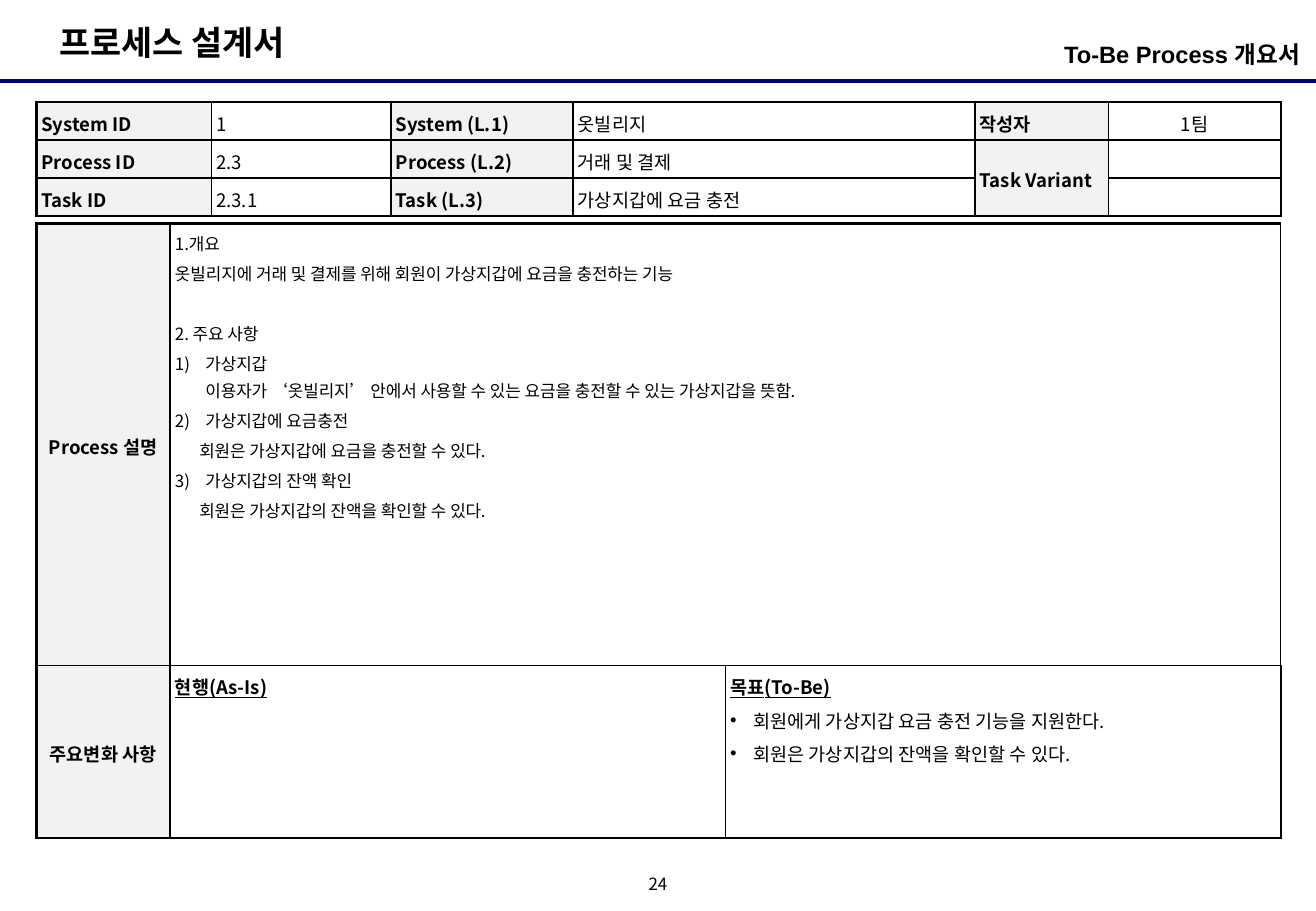
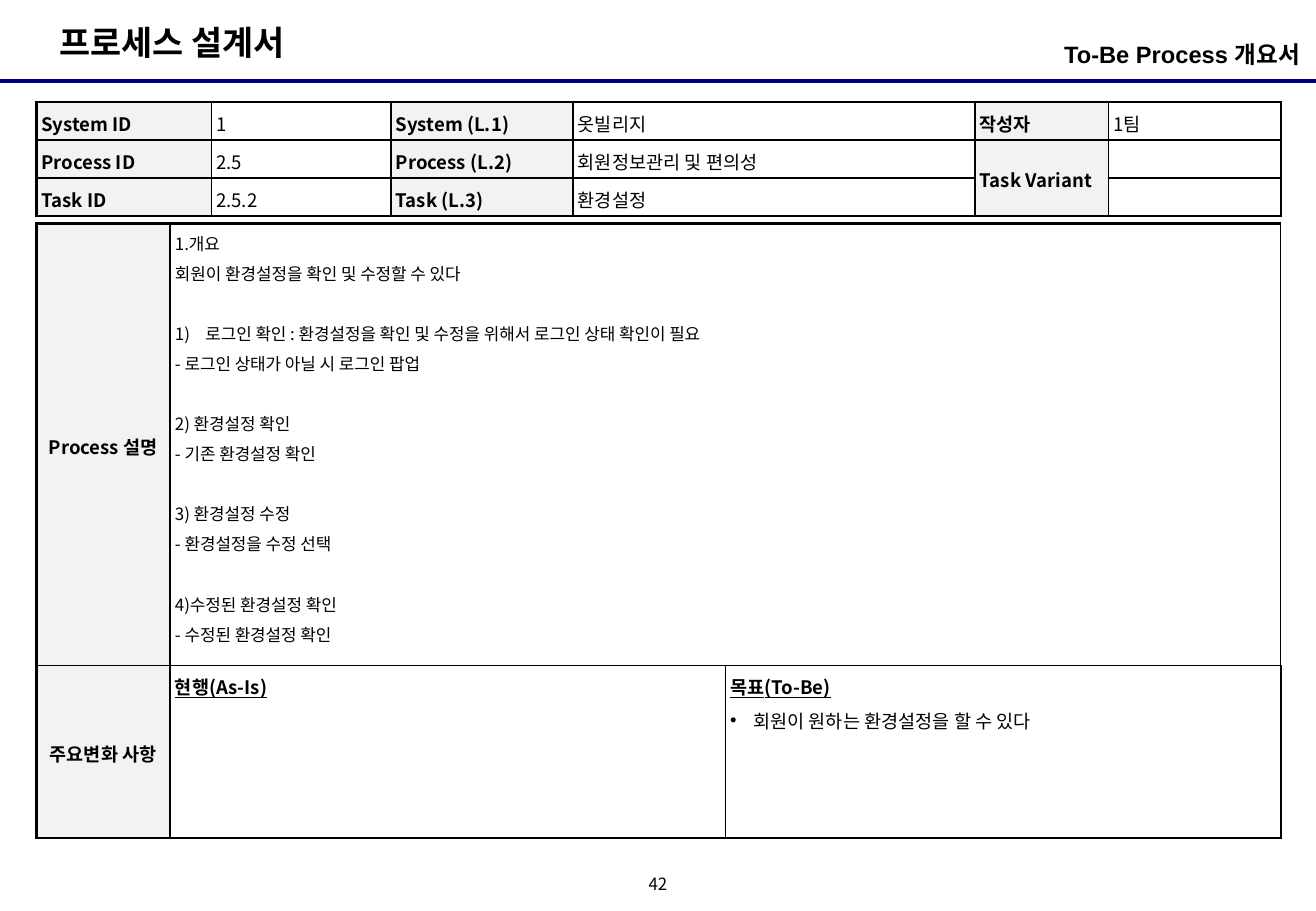
from dataclasses import dataclass

from lxml.etree import SubElement
from pptx import Presentation
from pptx.dml.color import RGBColor
from pptx.enum.shapes import MSO_CONNECTOR
from pptx.enum.text import MSO_ANCHOR, PP_ALIGN
from pptx.oxml.ns import qn
from pptx.util import Inches, Pt

BLACK, WHITE, NAVY, LABEL_GRAY = "000000", "FFFFFF", "000080", "F2F2F2"
KOREAN_FONT, LATIN_FONT = "Noto Sans CJK KR", "Arial"
SLIDE_WIDTH, SLIDE_HEIGHT = 10.83, 7.5
THIN, THICK = 1, 1.5
LABEL_SIZE, BODY_SIZE = 11, 10
SECTION_GAP = 18.9
BORDER_TAGS = ("a:lnL", "a:lnR", "a:lnT", "a:lnB")


@dataclass
class Line:
    text: str
    size: float = LABEL_SIZE
    bold: bool = False
    underline: bool = False
    bullet: str = ""
    number: int = 0
    left: float = 0
    hanging: float = 0
    before: float = 0


def color(value):
    return RGBColor.from_string(value)


def body(text, **options):
    return Line(text, BODY_SIZE, **options)


def numbered(number, text, **options):
    return body(text, number=number, left=0.25, hanging=0.25, **options)


def indented(text):
    return body(text, left=0.2)


def bulleted(text):
    return Line(text, bullet="•", left=0.19, hanging=0.19)


def label(text):
    return Line(text, bold=True)


def heading(text):
    return Line(text, bold=True, underline=True)


def add_run(paragraph, text, size, bold=False, underline=False, font=KOREAN_FONT):
    run = paragraph.add_run()
    run.text = text
    run.font.size = Pt(size)
    run.font.bold = bold
    run.font.underline = underline
    run.font.name = font
    run.font.color.rgb = color(BLACK)
    SubElement(run.font._element, qn("a:ea"), typeface=KOREAN_FONT)


def add_bullet(properties, line):
    if line.number:
        SubElement(properties, qn("a:buFont"), typeface=KOREAN_FONT)
        SubElement(properties, qn("a:buAutoNum"), type="arabicParenR", startAt=str(line.number))
    elif line.bullet:
        SubElement(properties, qn("a:buFont"), typeface=LATIN_FONT)
        SubElement(properties, qn("a:buChar"), char=line.bullet)


def write_line(paragraph, line, first, last, align):
    properties = paragraph._p.get_or_add_pPr()
    properties.set("marL", str(Inches(line.left)))
    properties.set("indent", str(-Inches(line.hanging)))
    add_bullet(properties, line)
    paragraph.alignment = align
    paragraph.line_spacing = 1.1
    paragraph.space_before = Pt(0 if first else line.before or line.size / 10)
    paragraph.space_after = Pt(0 if last else line.size / 10)
    for index, part in enumerate(line.text.split("\n")):
        if index:
            paragraph.add_line_break()
        add_run(paragraph, part, line.size, line.bold, line.underline)


def fill_cell(cell, lines, fill=None, align=PP_ALIGN.LEFT, anchor=MSO_ANCHOR.TOP):
    cell.margin_left = cell.margin_right = cell.margin_top = cell.margin_bottom = Inches(0.04)
    cell.vertical_anchor = anchor
    if fill:
        cell.fill.solid()
        cell.fill.fore_color.rgb = color(fill)
    else:
        cell.fill.background()
    frame = cell.text_frame
    for index, line in enumerate(lines):
        paragraph = frame.add_paragraph() if index else frame.paragraphs[0]
        write_line(paragraph, line, index == 0, index == len(lines) - 1, align)
    if not lines:
        SubElement(frame.paragraphs[0]._p, qn("a:endParaRPr"), sz=str(LABEL_SIZE * 100))


def set_borders(table):
    last_row, last_column = len(table.rows) - 1, len(table.columns) - 1
    for row in range(last_row + 1):
        for column in range(last_column + 1):
            properties = table.cell(row, column)._tc.get_or_add_tcPr()
            outer = (column == 0, column == last_column, row == 0, row == last_row)
            for position, (tag, is_outer) in enumerate(zip(BORDER_TAGS, outer)):
                border = properties.makeelement(qn(tag), {"w": str(Pt(THICK if is_outer else THIN))})
                SubElement(SubElement(border, qn("a:solidFill")), qn("a:srgbClr"), val=BLACK)
                properties.insert(position, border)


def add_grid(slide, box, columns, rows):
    left, top, width, height = (Inches(value) for value in box)
    table = slide.shapes.add_table(len(rows), len(columns), left, top, width, height).table
    table.first_row = table.horz_banding = False
    for column, share in zip(table.columns, columns):
        column.width = int(width * share / sum(columns))
    for row, share in zip(table.rows, rows):
        row.height = int(height * share / sum(rows))
    return table


def add_id_table(slide, box, identifiers, names, author_align):
    table = add_grid(slide, box, (1.44, 1.48, 1.5, 3.31, 1.1, 1.42), (1, 1, 1))
    levels = ("System", "Process", "Task")
    for row, (level, identifier, name) in enumerate(zip(levels, identifiers, names)):
        fill_cell(table.cell(row, 0), [label(f"{level} ID")], LABEL_GRAY)
        fill_cell(table.cell(row, 1), [Line(identifier)])
        fill_cell(table.cell(row, 2), [label(f"{level} (L.{row + 1})")], LABEL_GRAY)
        fill_cell(table.cell(row, 3), [Line(name)])
    table.cell(1, 4).merge(table.cell(2, 4))
    for row, text in enumerate(("작성자", "Task Variant")):
        fill_cell(table.cell(row, 4), [label(text)], LABEL_GRAY, anchor=MSO_ANCHOR.MIDDLE)
    fill_cell(table.cell(0, 5), [Line("1팀")], align=author_align, anchor=MSO_ANCHOR.MIDDLE)
    for row in (1, 2):
        fill_cell(table.cell(row, 5), [])
    set_borders(table)


def add_description_table(slide, box, description, goals):
    table = add_grid(slide, box, (1.1, 4.57, 4.57), (3.64, 1.42))
    table.cell(0, 1).merge(table.cell(0, 2))
    for row, text in enumerate(("Process 설명", "주요변화 사항")):
        fill_cell(table.cell(row, 0), [label(text)], LABEL_GRAY, PP_ALIGN.CENTER, MSO_ANCHOR.MIDDLE)
    fill_cell(table.cell(0, 1), description, WHITE)
    fill_cell(table.cell(1, 1), [heading("현행(As-Is)")], WHITE)
    fill_cell(table.cell(1, 2), [heading("목표(To-Be)")] + [bulleted(goal) for goal in goals], WHITE)
    set_borders(table)


def add_text(slide, box, text, size, bold=False, font=KOREAN_FONT, align=PP_ALIGN.LEFT,
             anchor=MSO_ANCHOR.TOP, margins=(0.1, 0.05), wrap=False, spacing=1.0):
    frame = slide.shapes.add_textbox(*(Inches(value) for value in box)).text_frame
    frame.word_wrap = wrap
    frame.vertical_anchor = anchor
    frame.margin_left = frame.margin_right = Inches(margins[0])
    frame.margin_top = frame.margin_bottom = Inches(margins[1])
    paragraph = frame.paragraphs[0]
    paragraph.alignment = align
    paragraph.line_spacing = spacing
    add_run(paragraph, text, size, bold, font=font)


def add_page_frame(slide, page_number):
    rule = slide.shapes.add_connector(
        MSO_CONNECTOR.STRAIGHT, 0, Inches(0.67), Inches(SLIDE_WIDTH), Inches(0.67))
    rule.line.color.rgb = color(NAVY)
    rule.line.width = Pt(2.25)
    SubElement(rule._element.spPr, qn("a:effectLst"))
    add_text(slide, (0.39, 0.13, 2.26, 0.44), "프로세스 설계서", 20, bold=True)
    add_text(slide, (7.39, 0.28, 3.31, 0.39), "To-Be Process 개요서", 14, bold=True, font=LATIN_FONT,
             align=PP_ALIGN.RIGHT, margins=(0, 0.05), wrap=True)
    add_text(slide, (5.25, 7.17, 0.33, 0.25), page_number, 10, align=PP_ALIGN.CENTER,
             anchor=MSO_ANCHOR.MIDDLE, margins=(0, 0), spacing=0.8)


def add_process_slide(presentation, page_number, identifiers, names, author_align, description, goals):
    slide = presentation.slides.add_slide(presentation.slide_layouts[6])
    add_page_frame(slide, page_number)
    add_id_table(slide, (0.3, 0.84, 10.24, 0.94), identifiers, names, author_align)
    add_description_table(slide, (0.3, 1.84, 10.24, 5.06), description, goals)


def main():
    presentation = Presentation()
    presentation.slide_width = Inches(SLIDE_WIDTH)
    presentation.slide_height = Inches(SLIDE_HEIGHT)
    add_process_slide(
        presentation, "24", ("1", "2.3", "2.3.1"),
        ("옷빌리지", "거래 및 결제", "가상지갑에 요금 충전"), PP_ALIGN.CENTER,
        [
            body("1.개요"),
            body("옷빌리지에 거래 및 결제를 위해 회원이 가상지갑에 요금을 충전하는 기능"),
            body("2. 주요 사항", before=SECTION_GAP),
            numbered(1, "가상지갑\n이용자가 ‘옷빌리지’ 안에서 사용할 수 있는 요금을 충전할 수 있는 가상지갑을 뜻함."),
            numbered(2, "가상지갑에 요금충전"),
            indented("회원은 가상지갑에 요금을 충전할 수 있다."),
            numbered(3, "가상지갑의 잔액 확인"),
            indented("회원은 가상지갑의 잔액을 확인할 수 있다."),
        ],
        ("회원에게 가상지갑 요금 충전 기능을 지원한다.", "회원은 가상지갑의 잔액을 확인할 수 있다."))
    add_process_slide(
        presentation, "42", ("1", "2.5", "2.5.2"),
        ("옷빌리지", "회원정보관리 및 편의성", "환경설정"), PP_ALIGN.LEFT,
        [
            body("1.개요"),
            body("회원이 환경설정을 확인 및 수정할 수 있다"),
            numbered(1, "로그인 확인 : 환경설정을 확인 및 수정을 위해서 로그인 상태 확인이 필요", before=SECTION_GAP),
            body("- 로그인 상태가 아닐 시 로그인 팝업"),
            body("2) 환경설정 확인", before=SECTION_GAP),
            body("- 기존 환경설정 확인"),
            body("3) 환경설정 수정", before=SECTION_GAP),
            body("- 환경설정을 수정 선택"),
            body("4)수정된 환경설정 확인", before=SECTION_GAP),
            body("- 수정된 환경설정 확인"),
        ],
        ("회원이 원하는 환경설정을 할 수 있다",))
    presentation.save("out.pptx")


if __name__ == "__main__":
    main()
